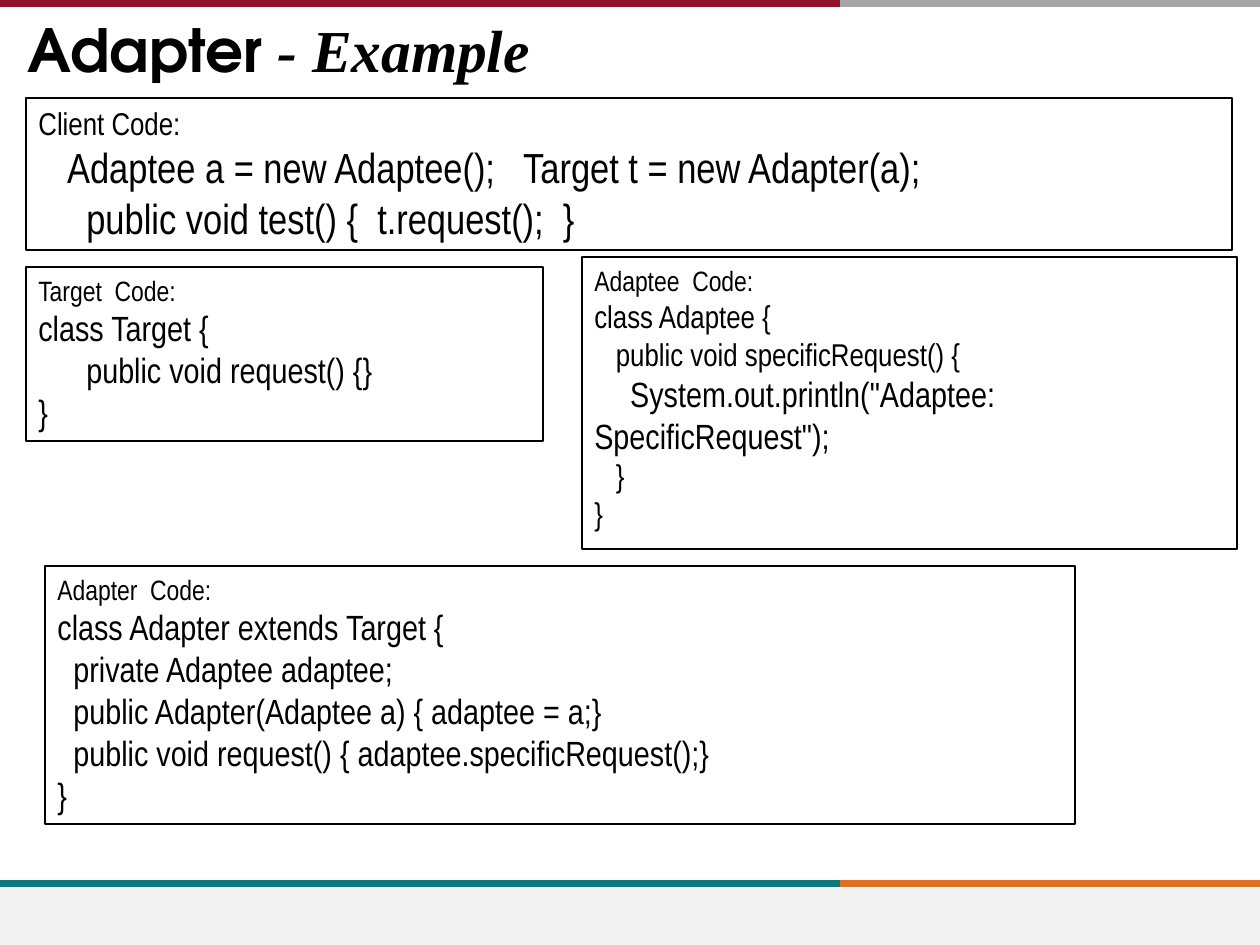
from dataclasses import dataclass

from lxml import etree
from pptx import Presentation
from pptx.dml.color import RGBColor
from pptx.enum.shapes import MSO_CONNECTOR, MSO_SHAPE
from pptx.enum.text import MSO_ANCHOR, PP_ALIGN
from pptx.oxml.ns import qn
from pptx.util import Emu, Pt

STRAIGHT = MSO_CONNECTOR.STRAIGHT
RECTANGLE = MSO_SHAPE.RECTANGLE
TOP, MIDDLE = MSO_ANCHOR.TOP, MSO_ANCHOR.MIDDLE
LEFT = PP_ALIGN.LEFT

PX_PER_INCH = 126
WIDTH, HEIGHT = 1260, 945
BAND_SPLIT = 840
BLACK = "000000"
CODE_FONT = "Arial Narrow"


@dataclass
class Band:
    start: int
    end: int
    y: int
    color: str


@dataclass
class CodeLine:
    text: str
    size: int
    indent_size: int = 0  # size of the leading spaces, if different


@dataclass
class CodeBox:
    left: int
    top: int
    width: int
    height: int
    lines: list[CodeLine]


BANDS = [
    Band(BAND_SPLIT, WIDTH, 884, "DF7023"),
    Band(0, BAND_SPLIT, 884, "0F787D"),
    Band(BAND_SPLIT, WIDTH, 4, "A6A6A6"),
    Band(0, BAND_SPLIT, 4, "90152A"),
]

CODE_BOXES = [
    CodeBox(26, 98, 1206, 152, [
        CodeLine("Client Code:", 18),
        CodeLine("    Adaptee a = new Adaptee();   Target t = new Adapter(a);", 24, 18),
        CodeLine("     public void test() {  t.request();  }", 24),
    ]),
    CodeBox(26, 267, 517, 174, [
        CodeLine("Target  Code:", 16),
        CodeLine("class Target {", 20),
        CodeLine("      public void request() {}", 20),
        CodeLine("}", 20),
    ]),
    CodeBox(582, 257, 655, 292, [
        CodeLine("Adaptee  Code:", 16),
        CodeLine("class Adaptee {", 18),
        CodeLine("   public void specificRequest() {", 18),
        CodeLine('     System.out.println("Adaptee: SpecificRequest");', 20, 18),
        CodeLine("   }", 18),
        CodeLine("}", 18),
    ]),
    CodeBox(45, 566, 1030, 258, [
        CodeLine("Adapter  Code:", 16),
        CodeLine("class Adapter extends Target {", 20),
        CodeLine("  private Adaptee adaptee;", 20),
        CodeLine("  public Adapter(Adaptee a) { adaptee = a;}", 20),
        CodeLine("  public void request() { adaptee.specificRequest();}", 20),
        CodeLine("}", 20),
    ]),
]


def px(value: int) -> Emu:
    return Emu(round(value * 914400 / PX_PER_INCH))


def rgb(color: str) -> RGBColor:
    return RGBColor.from_string(color)


def add_run(paragraph, text: str, size: int, **font_format) -> None:
    run = paragraph.add_run()
    run.text = text
    run.font.color.rgb = rgb(BLACK)
    for name, value in {"size": Pt(size), "name": CODE_FONT, **font_format}.items():
        setattr(run.font, name, value)


def add_band(slide, band: Band) -> None:
    connector = slide.shapes.add_connector(
        STRAIGHT, px(band.start), px(band.y), px(band.end), px(band.y))
    connector.line.color.rgb = rgb(band.color)
    connector.line.width = Pt(4)
    etree.SubElement(connector._element.spPr, qn("a:effectLst"))


def add_footer(slide) -> None:
    shape = slide.shapes.add_shape(RECTANGLE, 0, px(888), px(WIDTH), px(HEIGHT - 888))
    shape.shadow.inherit = False
    shape.fill.solid()
    shape.fill.fore_color.rgb = rgb("F2F2F2")
    shape.line.fill.background()


def add_title(slide) -> None:
    frame = slide.shapes.add_textbox(0, 0, px(1251), px(98)).text_frame
    frame.word_wrap = True
    frame.vertical_anchor = MIDDLE
    frame.margin_left = px(28)
    paragraph = frame.paragraphs[0]
    add_run(paragraph, "Adapter", 34, name="TeX Gyre Adventor", bold=True)
    add_run(paragraph, " - Example", 34, name="Times New Roman", bold=True, italic=True)


def add_code_box(slide, box: CodeBox) -> None:
    shape = slide.shapes.add_shape(
        RECTANGLE, px(box.left), px(box.top), px(box.width), px(box.height))
    shape.shadow.inherit = False
    shape.fill.background()
    shape.line.color.rgb = rgb(BLACK)
    shape.line.width = Pt(0.75)
    frame = shape.text_frame
    frame.word_wrap = True
    frame.vertical_anchor = TOP
    for index, line in enumerate(box.lines):
        paragraph = frame.add_paragraph() if index else frame.paragraphs[0]
        paragraph.alignment = LEFT
        code = line.text
        if line.indent_size:
            code = line.text.lstrip()
            indent = line.text[:-len(code)]
            add_run(paragraph, indent, line.indent_size)
        add_run(paragraph, code, line.size)


def main() -> None:
    presentation = Presentation()
    presentation.slide_width, presentation.slide_height = px(WIDTH), px(HEIGHT)
    slide = presentation.slides.add_slide(presentation.slide_layouts[6])

    # Coloured bands and footer
    for band in BANDS:
        add_band(slide, band)
    add_footer(slide)

    # Title and code listings
    add_title(slide)
    for box in CODE_BOXES:
        add_code_box(slide, box)

    presentation.save("out.pptx")


if __name__ == "__main__":
    main()
